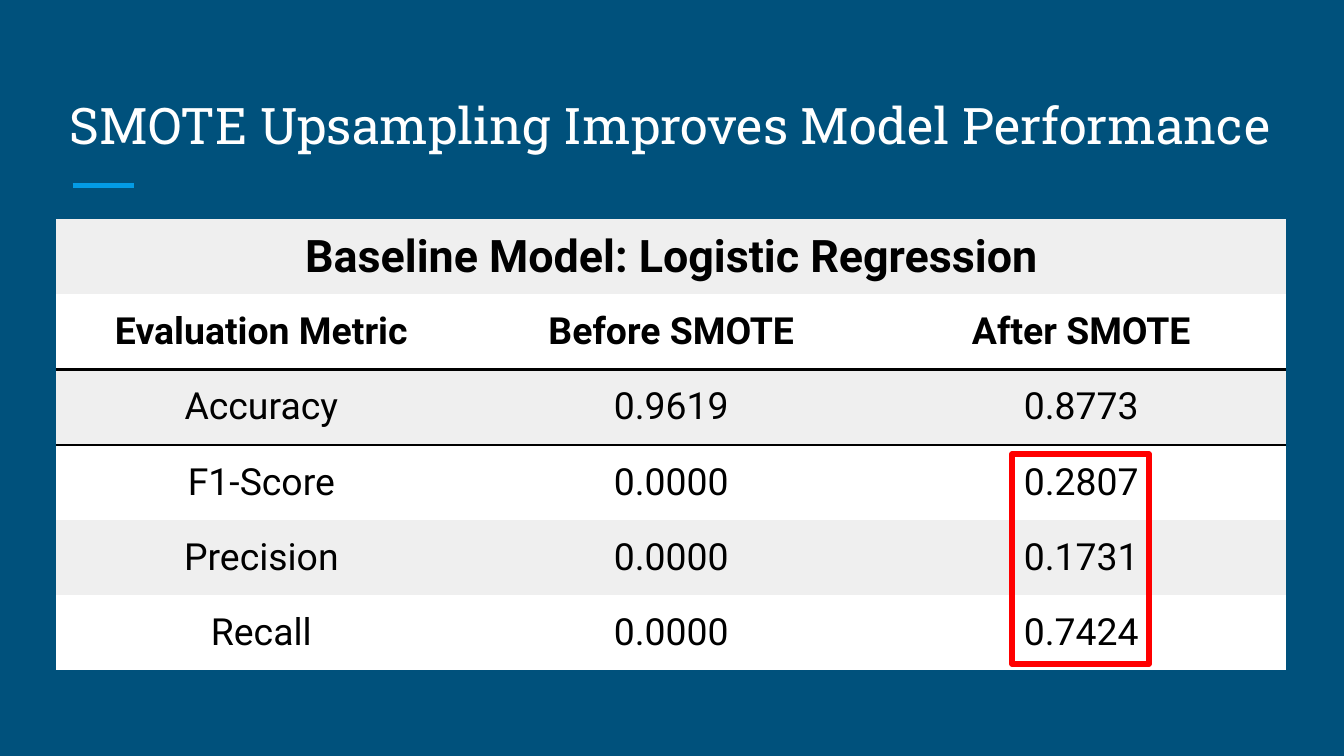
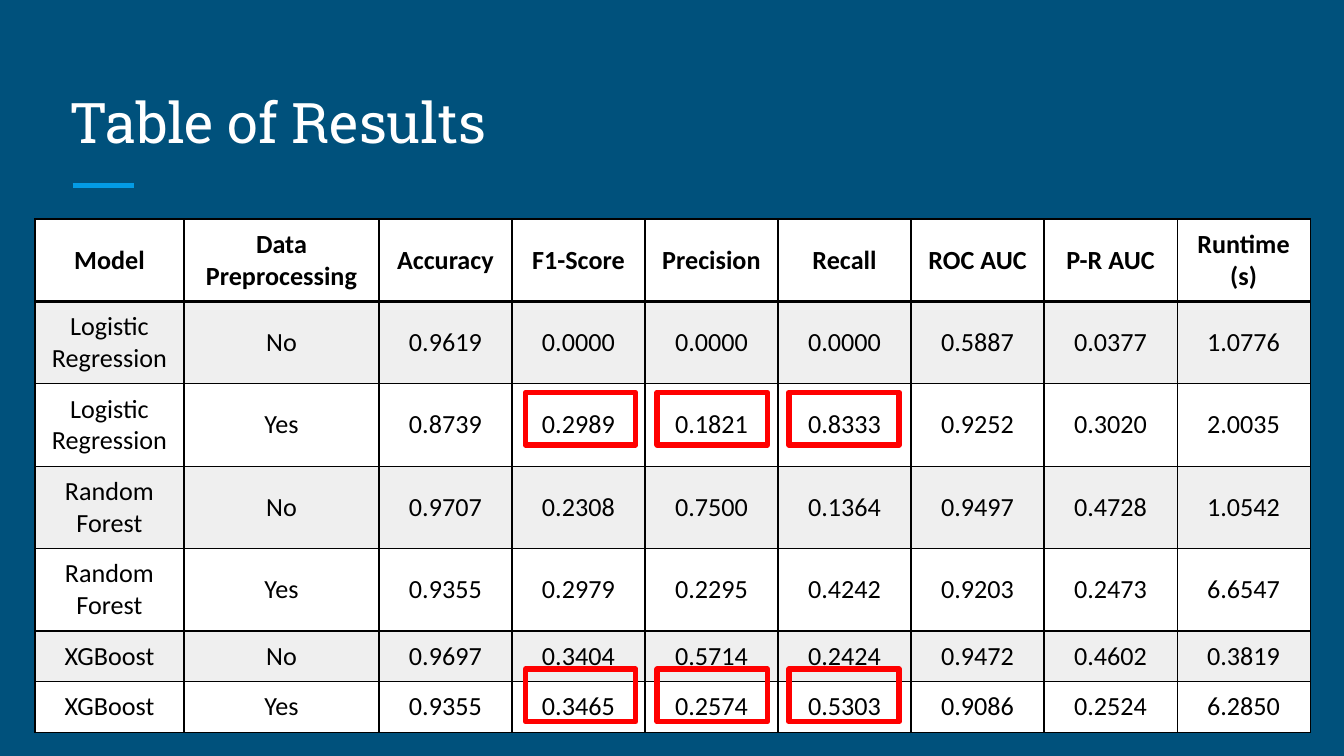
from collections import namedtuple

from lxml.etree import SubElement
from pptx import Presentation
from pptx.dml.color import RGBColor
from pptx.enum.shapes import MSO_CONNECTOR as Connector, MSO_SHAPE as Shape
from pptx.enum.text import MSO_ANCHOR as Anchor, MSO_AUTO_SIZE as AutoSize, PP_ALIGN as Align
from pptx.oxml.ns import qn
from pptx.util import Inches, Pt

NAVY = RGBColor(0x00, 0x51, 0x7C)
SKY = RGBColor(0x03, 0x9B, 0xE5)
RED = RGBColor(0xFF, 0x00, 0x00)
BLACK = RGBColor(0x00, 0x00, 0x00)
WHITE = RGBColor(0xFF, 0xFF, 0xFF)
GREY = RGBColor(0xEF, 0xEF, 0xEF)

WIDTH, HEIGHT = Inches(10), Inches(5.625)
UNIT = WIDTH // 100  # side of a grid square: 100 columns across the slide
TITLE_ONLY = 5
NO_STYLE = "{2D5ABB26-0587-4C30-8999-92F81FD0307C}"

Box = namedtuple("Box", "left top width height")
TITLE_BOX = Box(4.2, 5, 91.5, 7.5)
SMOTE_BOX = Box(4.2, 16.3, 91.5, 33.6)
RESULTS_BOX = Box(2.6, 16.3, 94.9, 38.1)

SMOTE_ROWS = [
    ["Baseline Model: Logistic Regression", "", ""],
    ["Evaluation Metric", "Before SMOTE", "After SMOTE"],
    ["Accuracy", "0.9619", "0.8773"],
    ["F1-Score", "0.0000", "0.2807"],
    ["Precision", "0.0000", "0.1731"],
    ["Recall", "0.0000", "0.7424"],
]
RESULTS_ROWS = [
    ["Model", "Data Preprocessing", "Accuracy", "F1-Score", "Precision",
     "Recall", "ROC AUC", "P-R AUC", "Runtime (s)"],
    ["Logistic Regression", "No", "0.9619", "0.0000", "0.0000", "0.0000", "0.5887", "0.0377", "1.0776"],
    ["Logistic Regression", "Yes", "0.8739", "0.2989", "0.1821", "0.8333", "0.9252", "0.3020", "2.0035"],
    ["Random Forest", "No", "0.9707", "0.2308", "0.7500", "0.1364", "0.9497", "0.4728", "1.0542"],
    ["Random Forest", "Yes", "0.9355", "0.2979", "0.2295", "0.4242", "0.9203", "0.2473", "6.6547"],
    ["XGBoost", "No", "0.9697", "0.3404", "0.5714", "0.2424", "0.9472", "0.4602", "0.3819"],
    ["XGBoost", "Yes", "0.9355", "0.3465", "0.2574", "0.5303", "0.9086", "0.2524", "6.2850"],
]


def grid(*lengths):
    """Turn lengths in grid squares into slide units."""
    return [round(length * UNIT) for length in lengths]


def set_all(target, values):
    for name, value in values.items():
        setattr(target, name, value)


def write(para, text, color, **font):
    span = para.add_run()
    span.text = text
    set_all(span.font, font)
    span.font.color.rgb = color


def add_page(deck, title, size):
    """Add a page with its title and the short rule below it."""
    page = deck.slides.add_slide(deck.slide_layouts[TITLE_ONLY])
    rule = page.shapes.add_connector(Connector.STRAIGHT, *grid(5.4, 13.8, 10, 13.8))
    rule.line.color.rgb = SKY
    rule.line.width = Pt(3)
    SubElement(rule._element.spPr, qn("a:effectLst"))

    heading = page.shapes.title
    set_all(heading, dict(zip(Box._fields, grid(*TITLE_BOX))))
    frame = heading.text_frame
    margins = {f"margin_{side}": Inches(0.1) for side in ("left", "top", "right", "bottom")}
    set_all(frame, {"word_wrap": True, "auto_size": AutoSize.NONE,
                    "vertical_anchor": Anchor.BOTTOM, **margins})
    para = frame.paragraphs[0]
    para.alignment = Align.LEFT
    write(para, title, WHITE, name="Roboto Slab", size=Pt(size))
    return page


def add_border(cell, side, points):
    """Draw one side (L, R, T or B, in that order) before the cell is filled."""
    line = SubElement(cell._tc.get_or_add_tcPr(), qn(f"a:ln{side}"), w=str(Pt(points)))
    SubElement(SubElement(line, qn("a:solidFill")), qn("a:srgbClr"), val=str(BLACK))


def add_grid_table(page, box, rows, columns, heights, margin):
    frame = page.shapes.add_table(len(rows), len(columns), *grid(*box))
    table = frame.table
    table.first_row = table.horz_banding = False
    table._tbl.tblPr.find(qn("a:tableStyleId")).text = NO_STYLE
    for column, width in zip(table.columns, grid(*columns)):
        column.width = width
    for row, height in zip(table.rows, grid(*heights)):
        row.height = height
    layout = {f"margin_{side}": Inches(margin) for side in ("left", "top", "right", "bottom")}
    for cell in table.iter_cells():
        set_all(cell, {"vertical_anchor": Anchor.MIDDLE, **layout})
    return table


def fill_cell(cell, text, color, **font):
    cell.fill.solid()
    cell.fill.fore_color.rgb = color
    if text:
        para = cell.text_frame.paragraphs[0]
        para.alignment = Align.CENTER
        write(para, text, BLACK, **font)


def add_mark(page, box):
    mark = page.shapes.add_shape(Shape.RECTANGLE, *grid(*box))
    mark.shadow.inherit = False
    mark.fill.background()
    mark.line.color.rgb = RED
    mark.line.width = Pt(3)
    SubElement(mark.line._get_or_add_ln(), qn("a:round"))


def add_smote_table(page, box):
    count = len(SMOTE_ROWS)
    table = add_grid_table(page, box, SMOTE_ROWS, [box.width / 3] * 3,
                           [box.height / count] * count, 0.04)
    table.cell(0, 0).merge(table.cell(0, 2))
    header_side = {1: "B", 2: "T"}
    for r, row in enumerate(SMOTE_ROWS):
        for c, text in enumerate(row):
            cell = table.cell(r, c)
            if r in header_side:
                add_border(cell, header_side[r], 1.5)
            fill_cell(cell, text, WHITE if r % 2 else GREY, name="Roboto",
                      size=Pt(20 if r else 24), bold=r < 2)
    add_mark(page, Box(box.left + 71.1, box.top + 17.5, 10.2, 15.6))


def add_results_table(page, box):
    table = add_grid_table(page, box, RESULTS_ROWS, [11.1, 14.5] + [9.9] * 7,
                           [6.12] * 5 + [3.75] * 2, 0.07)
    for r, row in enumerate(RESULTS_ROWS):
        widths = {"L": 0.75, "R": 0.75, "T": 2.25 if r == 1 else 0.75,
                  "B": 0.75 if r else 2.25}
        for c, text in enumerate(row):
            cell = table.cell(r, c)
            for side, points in widths.items():
                add_border(cell, side, points)
            fill_cell(cell, text, GREY if r % 2 else WHITE, name="Calibri",
                      size=Pt(14), bold=r == 0)
    for top in (12.9, 33.5):
        for column in range(3):
            add_mark(page, Box(box.left + 36.5 + 9.8 * column, box.top + top, 8.2, 3.9))


def main():
    deck = Presentation()
    deck.slide_width, deck.slide_height = WIDTH, HEIGHT
    backdrop = deck.slide_master.background.fill
    backdrop.solid()
    backdrop.fore_color.rgb = NAVY
    add_smote_table(add_page(deck, "SMOTE Upsampling Improves Model Performance", 27), SMOTE_BOX)
    add_results_table(add_page(deck, "Table of Results", 30), RESULTS_BOX)
    deck.save("out.pptx")


if __name__ == "__main__":
    main()
